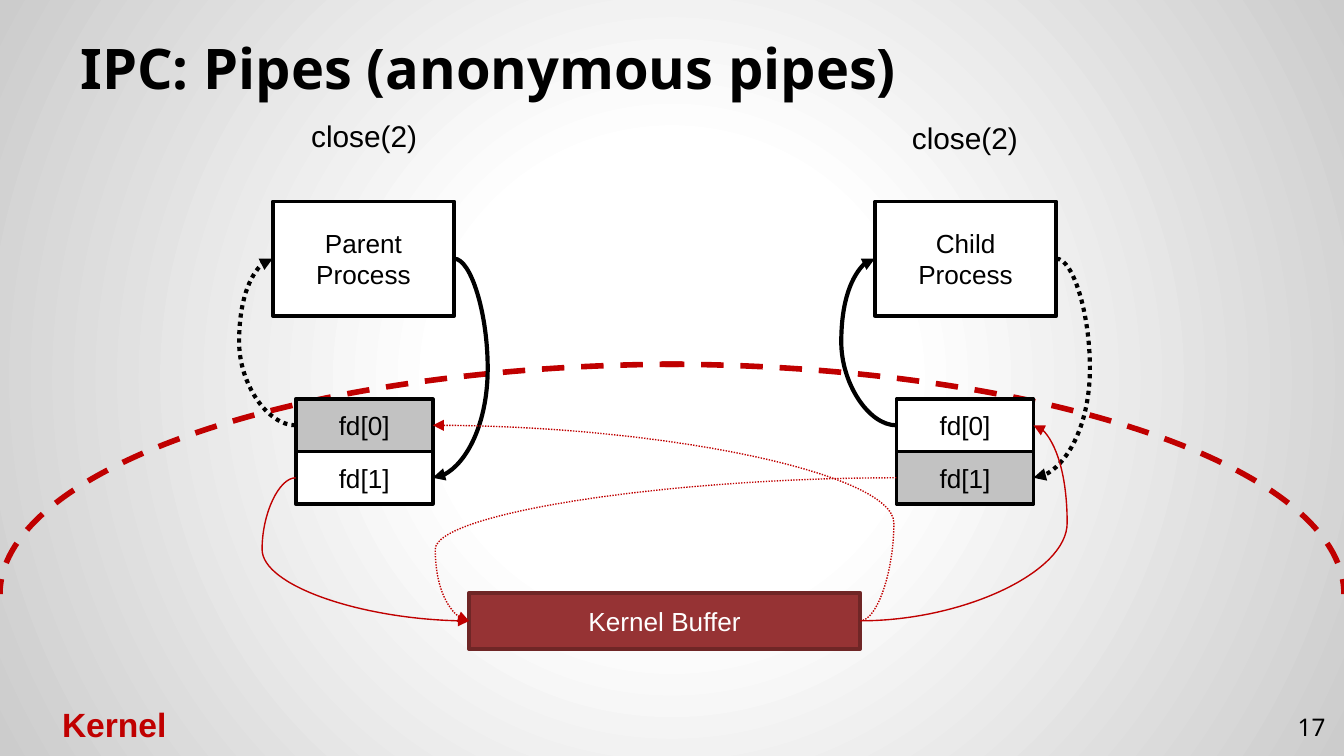
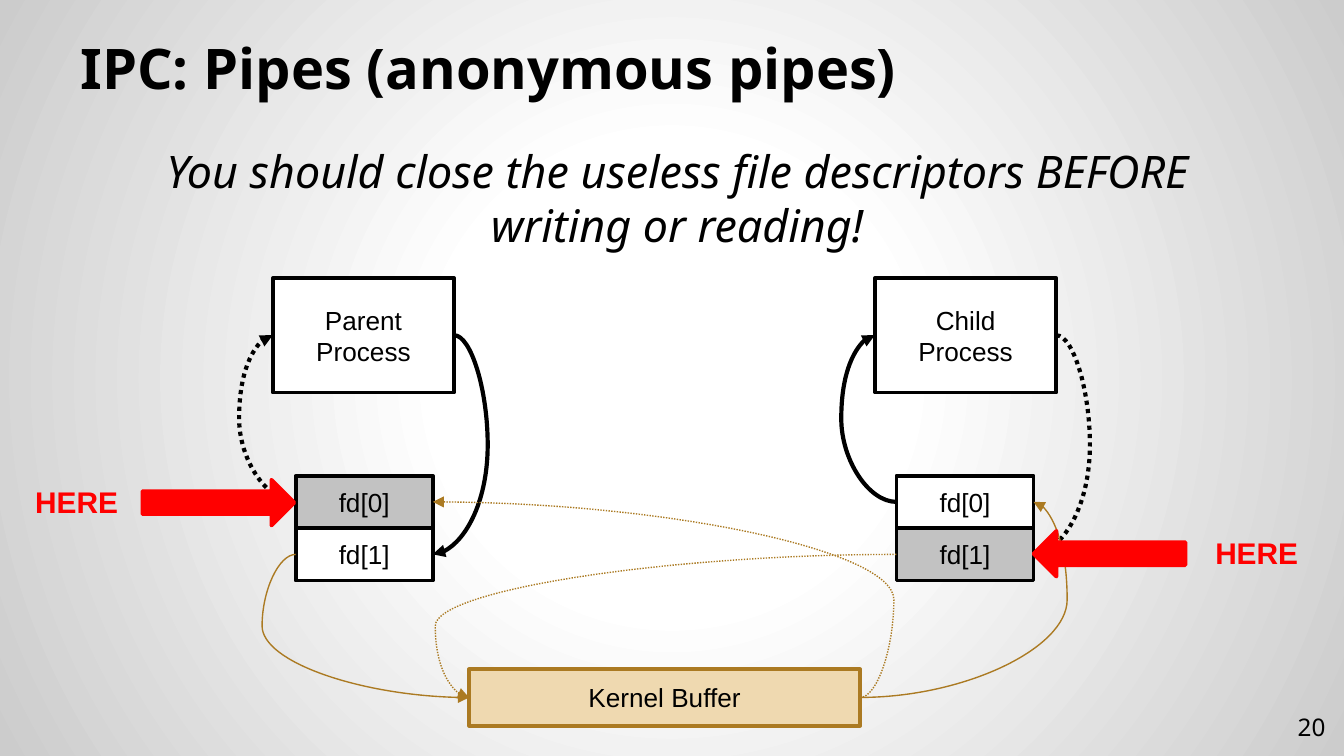
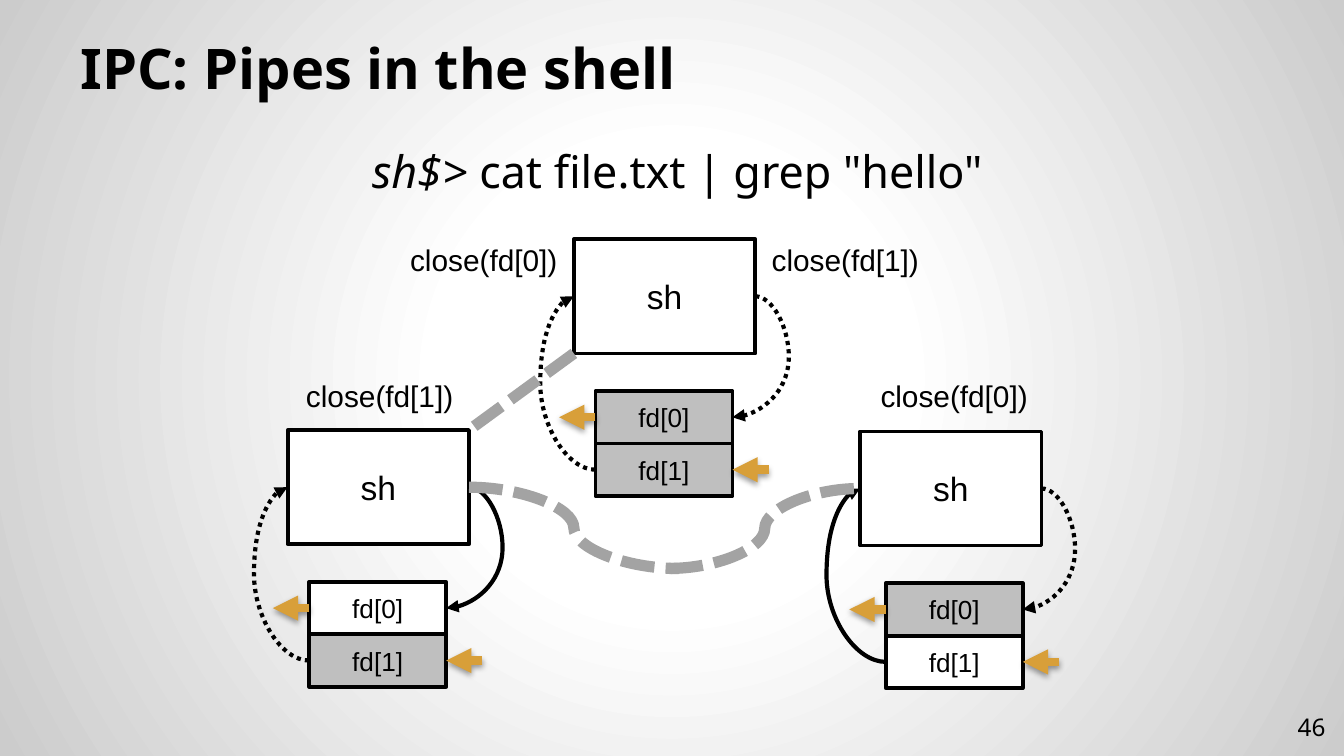
from dataclasses import dataclass
from typing import Any, Optional

import lxml.etree
import pptx
import pptx.dml.color
import pptx.enum.dml
import pptx.enum.shapes
import pptx.enum.text
import pptx.oxml.ns
import pptx.util

Inches = pptx.util.Inches
RGBColor = pptx.dml.color.RGBColor
Kind = pptx.enum.shapes.MSO_SHAPE
Wire = pptx.enum.shapes.MSO_CONNECTOR
Dash = pptx.enum.dml.MSO_LINE
Align = pptx.enum.text.PP_ALIGN
Anchor = pptx.enum.text.MSO_ANCHOR
qn = pptx.oxml.ns.qn

BLACK = RGBColor(0x00, 0x00, 0x00)
WHITE = RGBColor(0xFF, 0xFF, 0xFF)
SILVER = RGBColor(0xC2, 0xC2, 0xC2)
GREY = RGBColor(0xBF, 0xBF, 0xBF)
SMOKE = RGBColor(0xA3, 0xA3, 0xA3)
RED = RGBColor(0xC0, 0x00, 0x00)
BRICK = RGBColor(0x96, 0x33, 0x34)
WINE = RGBColor(0x6F, 0x26, 0x26)
SCARLET = RGBColor(0xFF, 0x00, 0x00)
SAND = RGBColor(0xEF, 0xD9, 0xB0)
BRONZE = RGBColor(0xAB, 0x7A, 0x22)
GOLD = RGBColor(0xD8, 0x9F, 0x39)

SANS = "Noto Sans"
ARIAL = "Arial"
LEFT, RIGHT = 1, 3
BOX_W, BOX_H = 1.35, 0.85
CELL_W, CELL_H = 1.02, 0.39
BEND = Inches(0.25)
STOPS = ((0, "FFFFFF"), (30, "FFFFFF"), (100, "CCCCCC"))


@dataclass(frozen=True)
class Label:
    text: str
    left: float
    top: float
    width: float
    height: float = 0.37
    size: int = 16
    color: RGBColor = BLACK
    font: str = ARIAL
    bold: bool = False
    italic: bool = False
    align: Any = Align.CENTER
    anchor: Any = Anchor.TOP
    inset: float = 0.05


@dataclass(frozen=True)
class Proc:
    text: str
    left: float
    top: float
    shut: tuple[int, ...]
    drop: float = 1.47
    shift: float = 0.16
    size: int = 14
    shade: RGBColor = SILVER
    reader: int = 0


@dataclass(frozen=True)
class Theme:
    fill: RGBColor
    line: RGBColor
    font: RGBColor
    wire: RGBColor


def node(parent: Any, tag: str, **attrs: Any) -> Any:
    return lxml.etree.SubElement(parent, qn(tag), {k: str(v) for k, v in attrs.items()})


def paint(master: Any) -> None:
    master.background.fill.gradient()
    grad = master.element.find(".//" + qn("a:gradFill"))
    for child in list(grad):
        grad.remove(child)
    stops = node(grad, "a:gsLst")
    for pos, color in STOPS:
        node(node(stops, "a:gs", pos=pos * 1000), "a:srgbClr", val=color)
    focus = node(grad, "a:path", path="circle")
    node(focus, "a:fillToRect", l=50000, t=50000, r=50000, b=50000)


def style(run: Any, font: str, size: int, color: RGBColor,
          bold: bool = False, italic: bool = False) -> None:
    run.font.name = font
    run.font.size = pptx.util.Pt(size)
    run.font.color.rgb = color
    run.font.bold = bold
    run.font.italic = italic


def write(slide: Any, label: Label) -> Any:
    box = slide.shapes.add_textbox(Inches(label.left), Inches(label.top),
                                   Inches(label.width), Inches(label.height))
    frame = box.text_frame
    frame.word_wrap = True
    frame.vertical_anchor = label.anchor
    frame.margin_top = frame.margin_bottom = Inches(label.inset)
    frame.text = label.text
    para = frame.paragraphs[0]
    para.alignment = label.align
    style(para.runs[0], label.font, label.size, label.color, label.bold, label.italic)
    return para


def shape(slide: Any, kind: Any, left: float, top: float, width: float, height: float,
          fill: Optional[RGBColor], line: RGBColor, weight: float = 2) -> Any:
    item = slide.shapes.add_shape(kind, Inches(left), Inches(top),
                                  Inches(width), Inches(height))
    item.shadow.inherit = False
    if fill is None:
        item.fill.background()
    else:
        item.fill.solid()
        item.fill.fore_color.rgb = fill
    item.line.color.rgb = line
    item.line.width = pptx.util.Pt(weight)
    return item


def block(slide: Any, text: str, left: float, top: float, width: float, height: float,
          fill: RGBColor = WHITE, line: RGBColor = BLACK,
          color: RGBColor = BLACK, size: int = 14) -> Any:
    item = shape(slide, Kind.RECTANGLE, left, top, width, height, fill, line)
    item.text_frame.text = text
    item.text_frame.vertical_anchor = Anchor.MIDDLE
    for para in item.text_frame.paragraphs:
        para.alignment = Align.CENTER
        style(para.runs[0], ARIAL, size, color)
    return item


def edge(item: Any, side: int) -> tuple[int, int]:
    return item.left + (item.width if side == RIGHT else 0), item.top + item.height // 2


def link(slide: Any, kind: Any, start: tuple[int, int], end: tuple[int, int],
         color: RGBColor, weight: float, dash: Any = None, head: bool = True) -> Any:
    wire = slide.shapes.add_connector(kind, *start, *end)
    wire.line.color.rgb = color
    wire.line.width = pptx.util.Pt(weight)
    if dash is not None:
        wire.line.dash_style = dash
    props = wire.element.spPr
    if head:
        node(props.find(qn("a:ln")), "a:tailEnd", type="triangle")
    node(props, "a:effectLst")
    return wire


def loop(slide: Any, first: Any, last: Any, side: int,
         color: RGBColor, weight: float, dotted: bool) -> None:
    start, end = edge(first, side), edge(last, side)
    wire = link(slide, Wire.CURVE, start, end, color, weight,
                Dash.ROUND_DOT if dotted else None)
    wire.begin_connect(first, side)
    wire.end_connect(last, side)
    xs = (start[0], end[0])
    bend = min(xs) - BEND if side == LEFT else max(xs) + BEND
    ratio = round((bend - start[0]) / (end[0] - start[0]) * 100000)
    geom = wire.element.spPr.find(qn("a:prstGeom"))
    values = geom.find(qn("a:avLst"))
    if values is None:
        values = node(geom, "a:avLst")
    node(values, "a:gd", name="adj1", fmla=f"val {ratio}")


def process(slide: Any, proc: Proc) -> tuple[Any, list[Any]]:
    box = block(slide, proc.text, proc.left, proc.top, BOX_W, BOX_H, size=proc.size)
    cells = [block(slide, f"fd[{i}]", proc.left + proc.shift,
                   proc.top + proc.drop + i * CELL_H, CELL_W, CELL_H,
                   proc.shade if i in proc.shut else WHITE) for i in (0, 1)]
    source, sink = proc.reader, 1 - proc.reader
    loop(slide, cells[source], box, LEFT, BLACK, 2.25, source in proc.shut)
    loop(slide, box, cells[sink], RIGHT, BLACK, 2.25, sink in proc.shut)
    return box, cells


def pipe(slide: Any, top: float, theme: Theme) -> None:
    buffer = block(slide, "Kernel Buffer", 3.49, top + 2.91, 2.91, 0.42,
                   theme.fill, theme.line, theme.font)
    for proc in (Proc("Child\nProcess", 6.51, top, (1,)),
                 Proc("Parent\nProcess", 2.03, top, (0,), shift=0.17)):
        _, cells = process(slide, proc)
        loop(slide, buffer, cells[0], RIGHT, theme.wire, 0.75, 0 in proc.shut)
        loop(slide, cells[1], buffer, LEFT, theme.wire, 0.75, 1 in proc.shut)


def stub(slide: Any, cell: Any, side: int) -> None:
    spot = edge(cell, side)
    reach = Inches(0.27)
    if side == LEFT:
        wire = link(slide, Wire.STRAIGHT, spot, (spot[0] - reach, spot[1]), GOLD, 4.5)
        wire.begin_connect(cell, side)
    else:
        wire = link(slide, Wire.STRAIGHT, (spot[0] + reach, spot[1]), spot, GOLD, 4.5)
        wire.end_connect(cell, side)
    effects = wire.element.spPr.find(qn("a:effectLst"))
    shade = node(effects, "a:outerShdw", blurRad=pptx.util.Pt(3.1),
                 dist=pptx.util.Pt(1.6), dir=5400000, rotWithShape=0)
    node(node(shade, "a:srgbClr", val="000000"), "a:alpha", val=38000)


def page(deck: Any, title: str, number: int) -> Any:
    slide = deck.slides.add_slide(deck.slide_layouts[6])
    write(slide, Label(title, 0.5, 0.23, 9, 0.62, 30, font=SANS, bold=True,
                       align=Align.LEFT, anchor=Anchor.BOTTOM, inset=0.1))
    write(slide, Label(str(number), 9.36, 5.19, 0.6, 0.43, 13, font=SANS,
                       align=Align.RIGHT, anchor=Anchor.MIDDLE, inset=0.1))
    return slide


def body(slide: Any, text: str) -> Any:
    para = write(slide, Label(text, 0.5, 0.97, 9, 4.41, 24, font=SANS,
                              italic=True, inset=0.1))
    props = para._p.get_or_add_pPr()
    props.set("marL", str(Inches(0.08)))
    props.set("indent", "0")
    return para


def closing(deck: Any) -> None:
    slide = page(deck, "IPC: Pipes (anonymous pipes)", 17)
    for left, flip in ((-0.15, False), (0, True)):
        arc = shape(slide, Kind.ARC, left, 2.71, 10.15, 3.42, None, RED, 3)
        arc.line.dash_style = Dash.DASH
        if flip:
            arc.element.spPr.find(qn("a:xfrm")).set("flipH", "1")
    pipe(slide, 1.5, Theme(BRICK, WINE, WHITE, RED))
    write(slide, Label("Kernel", 0.04, 5.19, 1.62, 0.4, 18, RED, bold=True))
    for left, top in ((1.61, 0.83), (6.08, 0.84)):
        write(slide, Label("close(2)", left, top, 2.2))


def warning(deck: Any) -> None:
    slide = page(deck, "IPC: Pipes (anonymous pipes)", 20)
    body(slide, "You should close the useless file descriptors BEFORE writing or reading!")
    pipe(slide, 2.07, Theme(SAND, BRONZE, BLACK, BRONZE))
    for left, top, turn, near in ((1.06, 3.57, 0, 0.03), (7.69, 3.95, 180, 8.81)):
        arrow = shape(slide, Kind.RIGHT_ARROW, left, top, 1.13, 0.34, SCARLET, SCARLET)
        arrow.rotation = turn
        write(slide, Label("HERE", near, top - 0.02, 1.08, color=SCARLET, bold=True))


def shell(deck: Any) -> None:
    slide = page(deck, "IPC: Pipes in the shell", 46)
    para = body(slide, "sh$> ")
    run = para.add_run()
    run.text = 'cat file.txt | grep "hello"'
    style(run, SANS, 24, BLACK)

    boxes = []
    for left, top, shut, shift in ((2.14, 3.2, (1,), 0.16), (6.4, 3.21, (0,), 0.19),
                                   (4.27, 1.78, (0, 1), 0.16)):
        box, cells = process(slide, Proc("sh", left, top, shut, 1.13, shift, 18, GREY, 1))
        stub(slide, cells[0], LEFT)
        stub(slide, cells[1], RIGHT)
        boxes.append(box)
    west, east, root = boxes

    low = Inches(4.23)
    wire = link(slide, Wire.CURVE, (Inches(4.98), low), edge(east, LEFT),
                SMOKE, 6, Dash.SQUARE_DOT, False)
    wire.end_connect(east, LEFT)
    wire = link(slide, Wire.CURVE, edge(west, RIGHT), (Inches(5.05), low),
                SMOKE, 6, Dash.SQUARE_DOT, False)
    wire.begin_connect(west, RIGHT)
    link(slide, Wire.STRAIGHT, (root.left, root.top + root.height),
         (west.left + west.width, west.top), SMOKE, 6, Dash.SQUARE_DOT, False)

    for end, left, top, width in ((0, 6.25, 2.76, 1.7), (1, 2.05, 2.76, 1.55),
                                  (0, 2.75, 1.75, 1.7), (1, 5.44, 1.75, 1.7)):
        write(slide, Label(f"close(fd[{end}])", left, top, width))


def main() -> None:
    deck = pptx.Presentation()
    deck.slide_width = Inches(10)
    deck.slide_height = Inches(10) * 9 // 16
    paint(deck.slide_master)
    closing(deck)
    warning(deck)
    shell(deck)
    deck.save("out.pptx")


if __name__ == "__main__":
    main()
